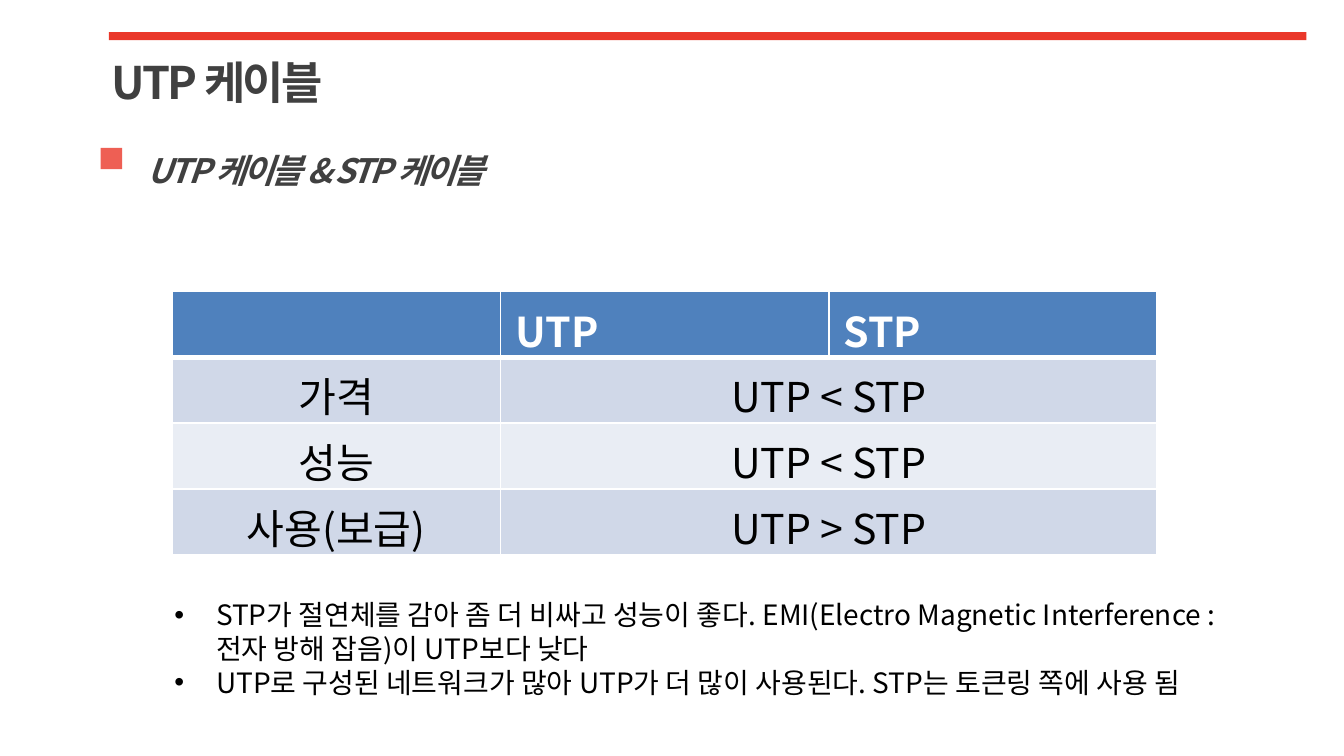
from lxml import etree
from pptx import Presentation
from pptx.dml.color import RGBColor
from pptx.enum.shapes import MSO_SHAPE
from pptx.enum.text import MSO_ANCHOR, PP_ALIGN
from pptx.oxml.ns import qn
from pptx.util import Pt

RECTANGLE = MSO_SHAPE.RECTANGLE
TOP = MSO_ANCHOR.TOP
LEFT, CENTER = PP_ALIGN.LEFT, PP_ALIGN.CENTER

RED = RGBColor(0xEA, 0x38, 0x2A)
CORAL = RGBColor(0xEE, 0x5F, 0x54)
GRAY = RGBColor(0x40, 0x40, 0x40)
BLACK = RGBColor(0, 0, 0)
WHITE = RGBColor(0xFF, 0xFF, 0xFF)
BLUE = RGBColor(0x4F, 0x81, 0xBD)
BANDS = [RGBColor(0xD0, 0xD8, 0xE8), RGBColor(0xE9, 0xED, 0xF4)]

FONT = "Noto Sans CJK KR"
PX = 9144
SLIDE_WIDTH = 1000

TITLE = "UTP 케이블"
SUBTITLE = "UTP 케이블 & STP 케이블"
HEADER = ["", "UTP", "STP"]
COMPARISON = [
    ("가격", "UTP < STP"),
    ("성능", "UTP < STP"),
    ("사용(보급)", "UTP > STP"),
]
NOTES = [
    "STP가 절연체를 감아 좀 더 비싸고 성능이 좋다. EMI(Electro Magnetic Interference : 전자 방해 잡음)이 UTP보다 낮다",
    "UTP로 구성된 네트워크가 많아 UTP가 더 많이 사용된다. STP는 토큰링 쪽에 사용 됨",
]

TITLE_STYLE = {"size": Pt(24), "bold": True}
SUBTITLE_STYLE = {"size": Pt(18), "bold": True, "italic": True}
HEADER_STYLE = {"size": Pt(22), "bold": True}
BODY_STYLE = {"size": Pt(22), "bold": False}
NOTE_STYLE = {"size": Pt(15)}
TIGHT = {"spc": "-150"}
UNKERNED = {"kern": "0"}

BAR_BOX = (81, 24, 891, 6)
MARKER_BOX = (75, 110, 16, 16)
TITLE_BOX = (73, 36, 671, 50)
SUBTITLE_BOX = (100, 107, 471, 40)
NOTES_BOX = (120, 440, 837, 86)
TABLE_BOX = (128, 217, 733, 196)
CELL_MARGINS = {"margin_left": 11, "margin_right": 11, "margin_top": 6, "margin_bottom": 6}
NOTE_INDENT = 31


def emu(box):
    return [length * PX for length in box]


def write(paragraph, text, style, color, tracking=None):
    run = paragraph.add_run()
    run.text = text
    run.font.name = FONT
    run.font.color.rgb = color
    for name, value in style.items():
        setattr(run.font, name, value)
    properties = run.font._element
    etree.SubElement(properties, qn("a:ea"), typeface=FONT)
    for name, value in (tracking or {}).items():
        properties.set(name, value)


def add_block(box, color):
    block = slide.shapes.add_shape(RECTANGLE, *emu(box))
    block.shadow.inherit = False
    block.fill.solid()
    block.fill.fore_color.rgb = color
    block.line.fill.background()


def add_frame(box):
    frame = slide.shapes.add_textbox(*emu(box)).text_frame
    frame.word_wrap = True
    return frame


def add_borders(cell, is_header):
    properties = cell._tc.get_or_add_tcPr()
    for position, side in enumerate(("lnL", "lnR", "lnT", "lnB")):
        width = 3 if is_header and side == "lnB" else 1
        border = etree.Element(qn(f"a:{side}"), w=str(Pt(width)))
        fill = etree.SubElement(border, qn("a:solidFill"))
        etree.SubElement(fill, qn("a:srgbClr"), val=str(WHITE))
        properties.insert(position, border)


def fill_cell(cell, text, style, color, background, alignment, is_header):
    for name, value in CELL_MARGINS.items():
        setattr(cell, name, value * PX)
    cell.vertical_anchor = TOP
    cell.fill.solid()
    cell.fill.fore_color.rgb = background
    add_borders(cell, is_header)
    paragraph = cell.text_frame.paragraphs[0]
    paragraph.alignment = alignment
    if text:
        write(paragraph, text, style, color)


def add_comparison():
    row_count, column_count = len(COMPARISON) + 1, len(HEADER)
    left, top, width, height = emu(TABLE_BOX)
    table = slide.shapes.add_table(row_count, column_count, left, top, width, height).table
    for column in table.columns:
        column.width = width // column_count
    for row in table.rows:
        row.height = height // row_count
    for index, heading in enumerate(HEADER):
        fill_cell(table.cell(0, index), heading, HEADER_STYLE, WHITE, BLUE, LEFT, True)
    for index, texts in enumerate(COMPARISON, 1):
        table.cell(index, 1).merge(table.cell(index, column_count - 1))
        band = BANDS[(index - 1) % len(BANDS)]
        for column, text in enumerate(texts):
            fill_cell(table.cell(index, column), text, BODY_STYLE, BLACK, band, CENTER, False)


def add_notes():
    frame = add_frame(NOTES_BOX)
    for index, note in enumerate(NOTES):
        paragraph = frame.add_paragraph() if index else frame.paragraphs[0]
        properties = paragraph._p.get_or_add_pPr()
        properties.set("marL", str(NOTE_INDENT * PX))
        properties.set("indent", str(-NOTE_INDENT * PX))
        etree.SubElement(properties, qn("a:buFont"), typeface="Arial")
        etree.SubElement(properties, qn("a:buChar"), char="•")
        write(paragraph, note, NOTE_STYLE, BLACK, UNKERNED)


presentation = Presentation()
presentation.slide_width = SLIDE_WIDTH * PX
presentation.slide_height = SLIDE_WIDTH * PX * 9 // 16
slide = presentation.slides.add_slide(presentation.slide_layouts[6])

add_block(BAR_BOX, RED)
write(add_frame(TITLE_BOX).paragraphs[0], TITLE, TITLE_STYLE, GRAY, TIGHT)
write(add_frame(SUBTITLE_BOX).paragraphs[0], SUBTITLE, SUBTITLE_STYLE, GRAY, TIGHT)
add_block(MARKER_BOX, CORAL)
add_comparison()
add_notes()

presentation.save("out.pptx")
